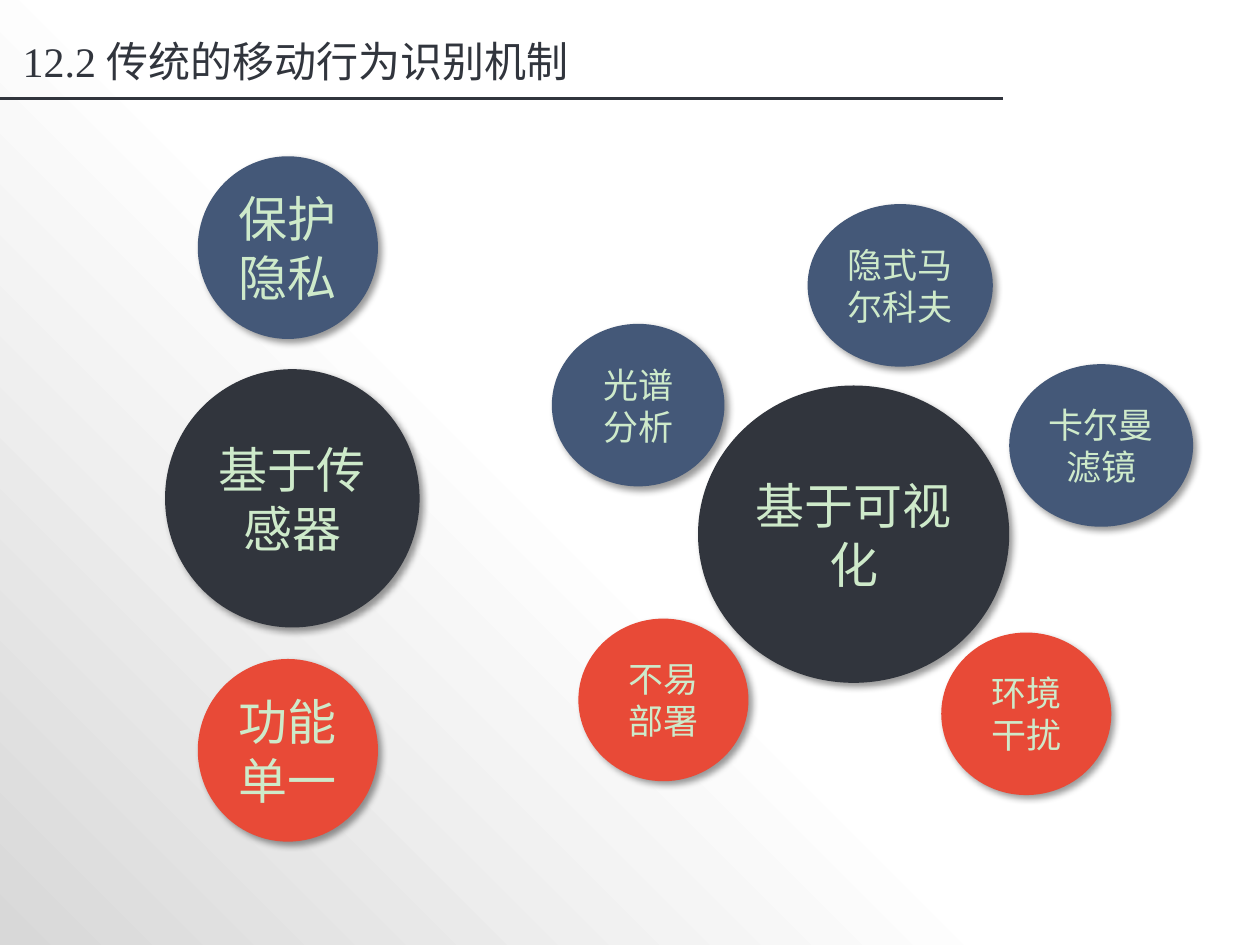
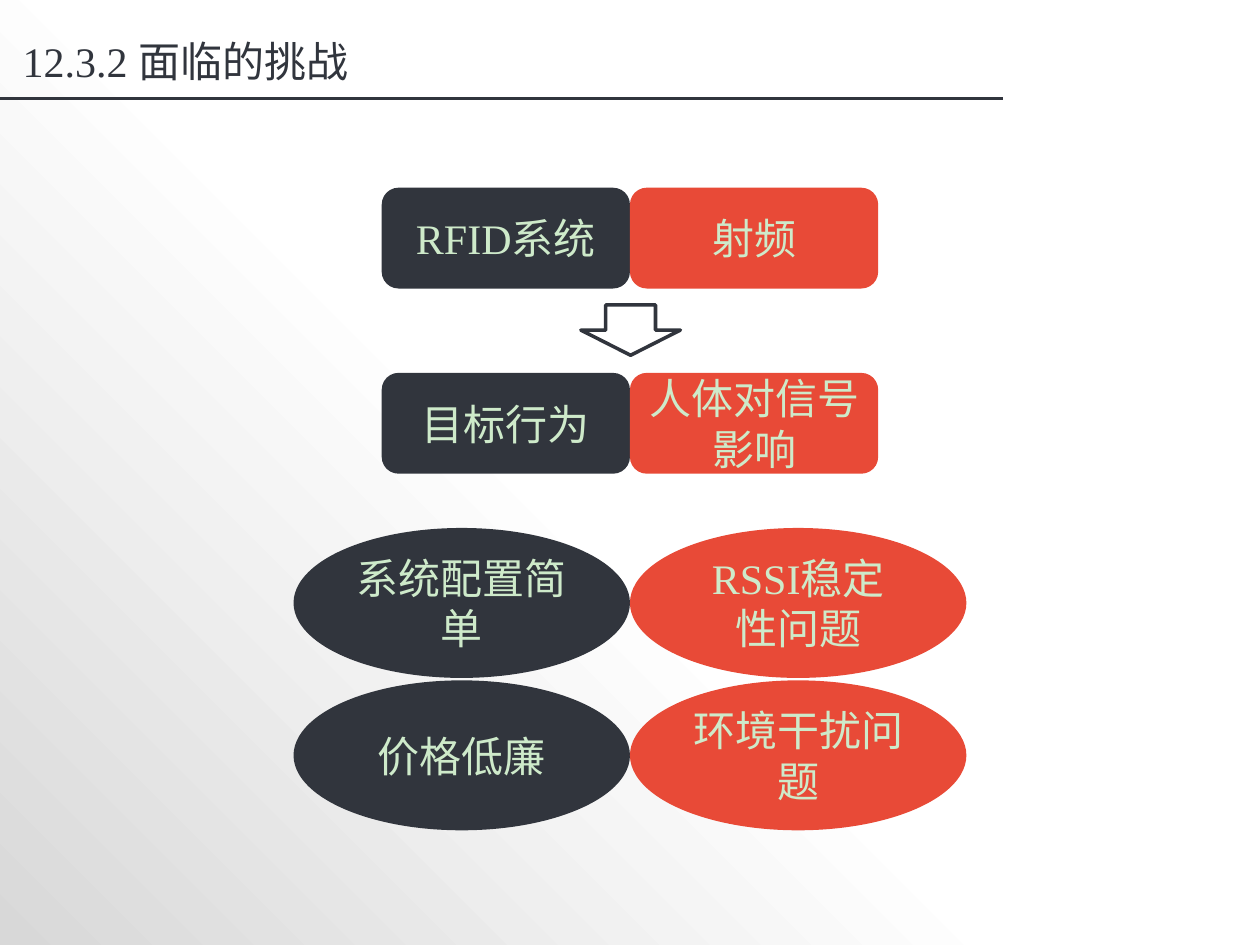
from lxml.etree import SubElement
from pptx import Presentation
from pptx.dml.color import RGBColor
from pptx.enum.shapes import MSO_CONNECTOR, MSO_SHAPE
from pptx.enum.text import MSO_ANCHOR, MSO_AUTO_SIZE, PP_ALIGN
from pptx.oxml.ns import qn
from pptx.util import Inches, Pt

FONT = "Times New Roman"
DARK, BLUE, RED, PALE = "31353D", "445878", "E84A37", "CEEACA"
GREY, WHITE = "D8D8D8", "FFFFFF"


def rgb(code):
    return RGBColor.from_string(code)


class Deck:
    def __init__(self):
        self.prs = Presentation()
        self.prs.slide_width, self.prs.slide_height = Inches(10), Inches(7.5)
        self.slide = None
        self.paint_back()

    def paint_back(self):
        """Give the master a fade from the lower left corner to white."""
        fill = self.prs.slide_master.background.fill
        fill.gradient()
        fill.gradient_angle = 45
        for stop, code, place in zip(fill.gradient_stops, (GREY, WHITE), (0, 0.46)):
            stop.color.rgb = rgb(code)
            stop.position = place

    def start(self, title):
        """Add a slide with its title and the rule below it."""
        self.slide = self.prs.slides.add_slide(self.prs.slide_layouts[5])
        head = self.slide.shapes.title
        head.left, head.top = Inches(0.08), Inches(0.19)
        head.width, head.height = Inches(6.3), Inches(0.59)
        head.text_frame.auto_size = MSO_AUTO_SIZE.NONE
        self.label(head, title, 24, DARK, PP_ALIGN.LEFT)
        self.rule(0, 0.78, 7.96)

    def rule(self, left, top, right):
        line = self.slide.shapes.add_connector(
            MSO_CONNECTOR.STRAIGHT, Inches(left), Inches(top), Inches(right), Inches(top))
        line.line.color.rgb = rgb(DARK)
        line.line.width = Pt(1.5)
        SubElement(line._element.spPr, qn("a:effectLst"))

    def label(self, shape, text, size, color, align=PP_ALIGN.CENTER):
        frame = shape.text_frame
        frame.word_wrap = True
        frame.vertical_anchor = MSO_ANCHOR.MIDDLE
        para = frame.paragraphs[0]
        para.alignment = align
        run = para.add_run()
        run.text = text
        run.font.name, run.font.size = FONT, Pt(size)
        run.font.color.rgb = rgb(color)

    def shape(self, kind, box):
        item = self.slide.shapes.add_shape(kind, *map(Inches, box))
        item.shadow.inherit = False
        return item

    def block(self, kind, box, fill, text, size):
        item = self.shape(kind, box)
        item.fill.solid()
        item.fill.fore_color.rgb = rgb(fill)
        item.line.fill.background()
        self.label(item, text, size, PALE)
        return item

    def ball(self, box, fill, text, size, inset=True):
        item = self.block(MSO_SHAPE.OVAL, box, fill, text, size)
        if not inset:
            frame = item.text_frame
            frame.margin_left = frame.margin_right = 0
            frame.margin_top = frame.margin_bottom = 0
        self.shade(item)

    def shade(self, item):
        """Cast a soft shadow to the lower right."""
        effects = item._element.spPr.find(qn("a:effectLst"))
        outer = SubElement(effects, qn("a:outerShdw"), blurRad=str(Pt(4)),
                           dist=str(Pt(3)), dir=str(45 * 60000),
                           algn="tl", rotWithShape="0")
        color = SubElement(outer, qn("a:srgbClr"), val="000000")
        SubElement(color, qn("a:alpha"), val="40000")

    def arrow(self, box):
        item = self.shape(MSO_SHAPE.DOWN_ARROW, box)
        item.fill.background()
        item.line.color.rgb = rgb(DARK)
        item.line.width = Pt(2)

    def pair(self, kind, top, width, height, texts):
        """Place a dark and a red block side by side about the middle."""
        for left, fill, text in zip((5 - width, 5), (DARK, RED), texts):
            self.block(kind, (left, top, width, height), fill, text, 24)


def methods(deck):
    deck.start("12.2 传统的移动行为识别机制")
    deck.ball((1.31, 2.93, 2.02, 2.05), DARK, "基于传感器", 28, inset=False)
    deck.ball((5.54, 3.06, 2.47, 2.36), DARK, "基于可视化", 28, inset=False)
    for top, fill, text in ((1.24, BLUE, "保护隐私"), (5.23, RED, "功能单一")):
        deck.ball((1.57, top, 1.43, 1.45), fill, text, 28)
    for left, top, width, fill, text in (
            (4.38, 2.57, 1.37, BLUE, "光谱分析"),
            (8.01, 2.89, 1.46, BLUE, "卡尔曼滤镜"),
            (6.41, 1.62, 1.47, BLUE, "隐式马尔科夫"),
            (4.59, 4.91, 1.35, RED, "不易部署"),
            (7.47, 5.02, 1.35, RED, "环境干扰")):
        deck.ball((left, top, width, 1.29), fill, text, 20)


def hurdles(deck):
    deck.start("12.3.2 面临的挑战")
    box, oval = MSO_SHAPE.FLOWCHART_ALTERNATE_PROCESS, MSO_SHAPE.OVAL
    deck.pair(box, 1.49, 1.97, 0.8, ("RFID系统", "射频"))
    deck.pair(box, 2.96, 1.97, 0.8, ("目标行为", "人体对信号影响"))
    deck.arrow((4.61, 2.42, 0.79, 0.4))
    deck.pair(oval, 4.19, 2.67, 1.19, ("系统配置简单", "RSSI稳定性问题"))
    deck.pair(oval, 5.4, 2.67, 1.19, ("价格低廉", "环境干扰问题"))


def main():
    deck = Deck()
    methods(deck)
    hurdles(deck)
    deck.prs.save("out.pptx")


if __name__ == "__main__":
    main()
